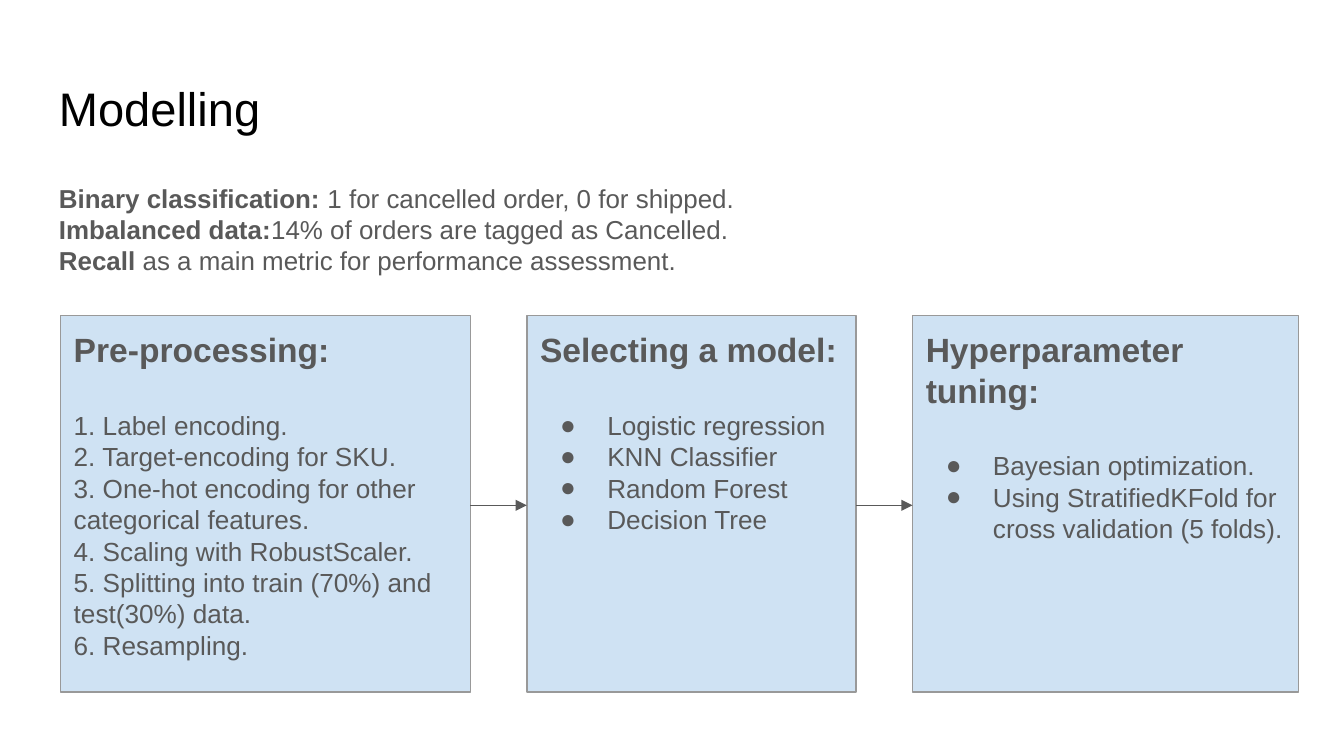
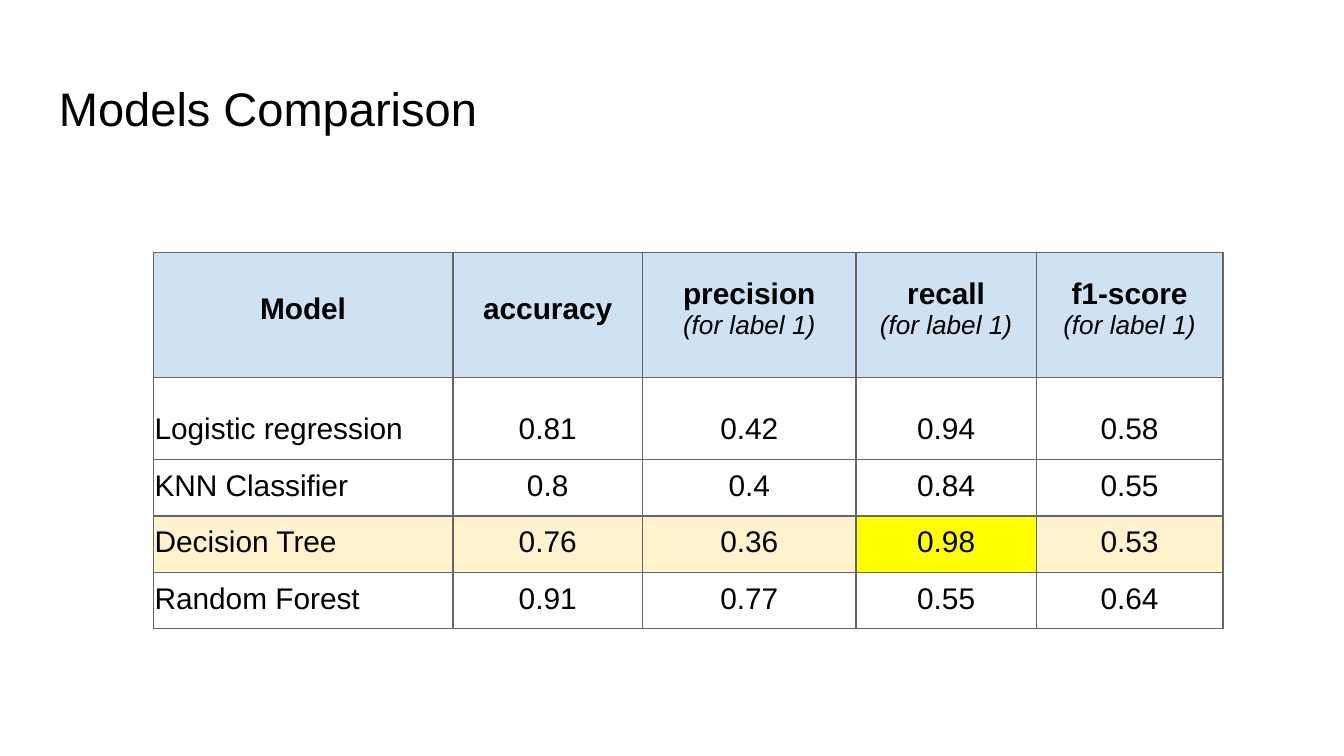
from lxml import etree
from pptx import Presentation
from pptx.dml.color import RGBColor
from pptx.enum.shapes import MSO_CONNECTOR, MSO_SHAPE
from pptx.enum.text import MSO_ANCHOR, PP_ALIGN
from pptx.oxml.ns import qn
from pptx.util import Inches, Pt

RECTANGLE = MSO_SHAPE.RECTANGLE
STRAIGHT = MSO_CONNECTOR.STRAIGHT
TOP, MIDDLE, BOTTOM = MSO_ANCHOR.TOP, MSO_ANCHOR.MIDDLE, MSO_ANCHOR.BOTTOM
LEFT, CENTER = PP_ALIGN.LEFT, PP_ALIGN.CENTER

FONT = "Arial"
COLORS = {
    "title": "000000",
    "body": "595959",
    "panel": "CFE2F3",
    "panel_line": "999999",
    "grid": "666666",
    "background": "FFFFFF",
    "best_row": "FFF2CC",
    "best_cell": "FFFF00",
}
LINE_WIDTH = Pt(0.75)
ITEM_SIZE = 14
TITLE_BOX = (0.34, 0.49, 9.32, 0.63)

SUMMARY = [
    ("Binary classification:", " 1 for cancelled order, 0 for shipped."),
    ("Imbalanced data:", "14% of orders are tagged as Cancelled."),
    ("Recall ", "as a main metric for performance assessment."),
]
# width, heading, items, bulleted
STEPS = [
    (3.05, "Pre-processing:", [
        "1. Label encoding.",
        "2. Target-encoding for SKU.",
        "3. One-hot encoding for other categorical features.",
        "4. Scaling with RobustScaler.",
        "5. Splitting into train (70%) and test(30%) data.",
        "6. Resampling.",
    ], False),
    (2.45, "Selecting a model:", [
        "Logistic regression", "KNN Classifier", "Random Forest", "Decision Tree",
    ], True),
    (2.87, "Hyperparameter tuning:", [
        "Bayesian optimization.",
        "Using StratifiedKFold for cross validation (5 folds).",
    ], True),
]
SCORES = [
    ("Model", "accuracy", "precision\n(for label 1)", "recall\n(for label 1)",
     "f1-score\n(for label 1)"),
    ("Logistic regression", "0.81", "0.42", "0.94", "0.58"),
    ("KNN Classifier", "0.8", "0.4", "0.84", "0.55"),
    ("Decision Tree", "0.76", "0.36", "0.98", "0.53"),
    ("Random Forest", "0.91", "0.77", "0.55", "0.64"),
]
COLUMN_WIDTHS = [2.23, 1.41, 1.59, 1.34, 1.39]
ROW_HEIGHTS = [0.93, 0.61, 0.42, 0.42, 0.42]
BEST_ROW, RECALL_COLUMN = 3, 3


def rgb(name):
    return RGBColor.from_string(COLORS[name])


def style_run(run, size, color, bold=False, italic=False):
    run.font.name = FONT
    run.font.size = Pt(size)
    run.font.color.rgb = rgb(color)
    run.font.bold = bold
    run.font.italic = italic


def prepare_frame(text_frame, anchor):
    text_frame.word_wrap = True
    text_frame.vertical_anchor = anchor
    text_frame.margin_left = text_frame.margin_right = Inches(0.1)
    text_frame.margin_top = text_frame.margin_bottom = Inches(0.1)


def add_text_frame(slide, box):
    text_frame = slide.shapes.add_textbox(*map(Inches, box)).text_frame
    prepare_frame(text_frame, TOP)
    return text_frame


def add_titled_slide(presentation, title):
    slide = presentation.slides.add_slide(presentation.slide_layouts[6])
    slide.background.fill.solid()
    slide.background.fill.fore_color.rgb = rgb("background")
    text_frame = add_text_frame(slide, TITLE_BOX)
    text_frame.text = title
    style_run(text_frame.paragraphs[0].runs[0], 25.2, "title")
    return slide


def add_summary(slide, box):
    text_frame = add_text_frame(slide, box)
    text_frame.text = "\n".join(term for term, _ in SUMMARY)
    for paragraph, (_, explanation) in zip(text_frame.paragraphs, SUMMARY):
        style_run(paragraph.runs[0], 13.9, "body", bold=True)
        run = paragraph.add_run()
        run.text = explanation
        style_run(run, 13.9, "body")


def add_bullet(paragraph):
    size = str(ITEM_SIZE * 100)
    properties = paragraph._p.get_or_add_pPr()
    properties.set("marL", str(Inches(0.5)))
    properties.set("indent", str(-Inches(0.35)))
    color = etree.SubElement(properties, qn("a:buClr"))
    etree.SubElement(color, qn("a:srgbClr"), val=COLORS["body"])
    etree.SubElement(properties, qn("a:buSzPts"), val=size)
    etree.SubElement(properties, qn("a:buFont"), typeface=FONT)
    etree.SubElement(properties, qn("a:buChar"), char="●")
    etree.SubElement(paragraph._p, qn("a:endParaRPr"), sz=size)


def add_step_panel(slide, box, heading, items, bulleted):
    panel = slide.shapes.add_shape(RECTANGLE, *map(Inches, box))
    panel.shadow.inherit = False
    panel.fill.solid()
    panel.fill.fore_color.rgb = rgb("panel")
    panel.line.color.rgb = rgb("panel_line")
    panel.line.width = LINE_WIDTH
    prepare_frame(panel.text_frame, TOP)
    panel.text_frame.text = "\n".join([heading, *items])
    first, *rest = panel.text_frame.paragraphs
    first.alignment = LEFT
    first.space_after = Pt(21.4)
    style_run(first.runs[0], 18, "body", bold=True)
    for paragraph in rest:
        paragraph.alignment = LEFT
        style_run(paragraph.runs[0], ITEM_SIZE, "body")
        if bulleted:
            add_bullet(paragraph)


def add_arrow(slide, start, end, y):
    arrow = slide.shapes.add_connector(
        STRAIGHT, Inches(start), Inches(y), Inches(end), Inches(y))
    arrow.line.color.rgb = rgb("body")
    arrow.line.width = LINE_WIDTH
    etree.SubElement(arrow.line._get_or_add_ln(), qn("a:tailEnd"), type="triangle")
    etree.SubElement(arrow._element.spPr, qn("a:effectLst"))


def add_pipeline(slide, box):
    """Spread the step panels over the box and join them with arrows."""
    left, top, width, height = box
    gap = (width - sum(step[0] for step in STEPS)) / (len(STEPS) - 1)
    for index, (panel_width, *content) in enumerate(STEPS):
        add_step_panel(slide, (left, top, panel_width, height), *content)
        if index:
            add_arrow(slide, left - gap, left, top + height / 2 + 0.01)
        left += panel_width + gap


def set_cell_borders(cell):
    properties = cell._tc.get_or_add_tcPr()
    for side in ("lnL", "lnR", "lnT", "lnB"):
        line = etree.SubElement(properties, qn(f"a:{side}"), w=str(LINE_WIDTH))
        fill = etree.SubElement(line, qn("a:solidFill"))
        etree.SubElement(fill, qn("a:srgbClr"), val=COLORS["grid"])


def fill_cell(cell, row, column):
    if row not in (0, BEST_ROW):
        cell.fill.background()
        return
    best = "best_cell" if column == RECALL_COLUMN else "best_row"
    cell.fill.solid()
    cell.fill.fore_color.rgb = rgb(best if row else "panel")


def set_score_cell(cell, row, column):
    header = row == 0
    cell.margin_left = cell.margin_right = cell.margin_top = Inches(0.01)
    cell.margin_bottom = Inches(0.1)
    cell.vertical_anchor = MIDDLE if header else BOTTOM
    set_cell_borders(cell)
    fill_cell(cell, row, column)
    cell.text_frame.text = SCORES[row][column]
    for index, paragraph in enumerate(cell.text_frame.paragraphs):
        note = index > 0
        paragraph.alignment = CENTER if header or column else LEFT
        if column and not header:
            paragraph.line_spacing = 1.15
        style_run(paragraph.runs[0], 14 if note else 16, "title",
                  bold=header and not note, italic=note)


def add_score_table(slide, left, top):
    table = slide.shapes.add_table(
        len(ROW_HEIGHTS), len(COLUMN_WIDTHS), Inches(left), Inches(top),
        Inches(sum(COLUMN_WIDTHS)), Inches(sum(ROW_HEIGHTS))).table
    table.first_row = table.horz_banding = False
    for column, width in zip(table.columns, COLUMN_WIDTHS):
        column.width = Inches(width)
    for row_index, height in enumerate(ROW_HEIGHTS):
        table.rows[row_index].height = Inches(height)
        for column_index in range(len(COLUMN_WIDTHS)):
            set_score_cell(table.cell(row_index, column_index),
                           row_index, column_index)


def build_modelling_slide(presentation):
    slide = add_titled_slide(presentation, "Modelling")
    add_summary(slide, (0.34, 1.26, 5.53, 0.95))
    add_pipeline(slide, (0.45, 2.35, 9.21, 2.8))


def build_comparison_slide(presentation):
    slide = add_titled_slide(presentation, "Models Comparison")
    add_score_table(slide, 1.14, 1.88)


def main():
    presentation = Presentation()
    presentation.slide_width = Inches(10)
    presentation.slide_height = Inches(10) * 9 // 16
    build_modelling_slide(presentation)
    build_comparison_slide(presentation)
    presentation.save("out.pptx")


if __name__ == "__main__":
    main()
